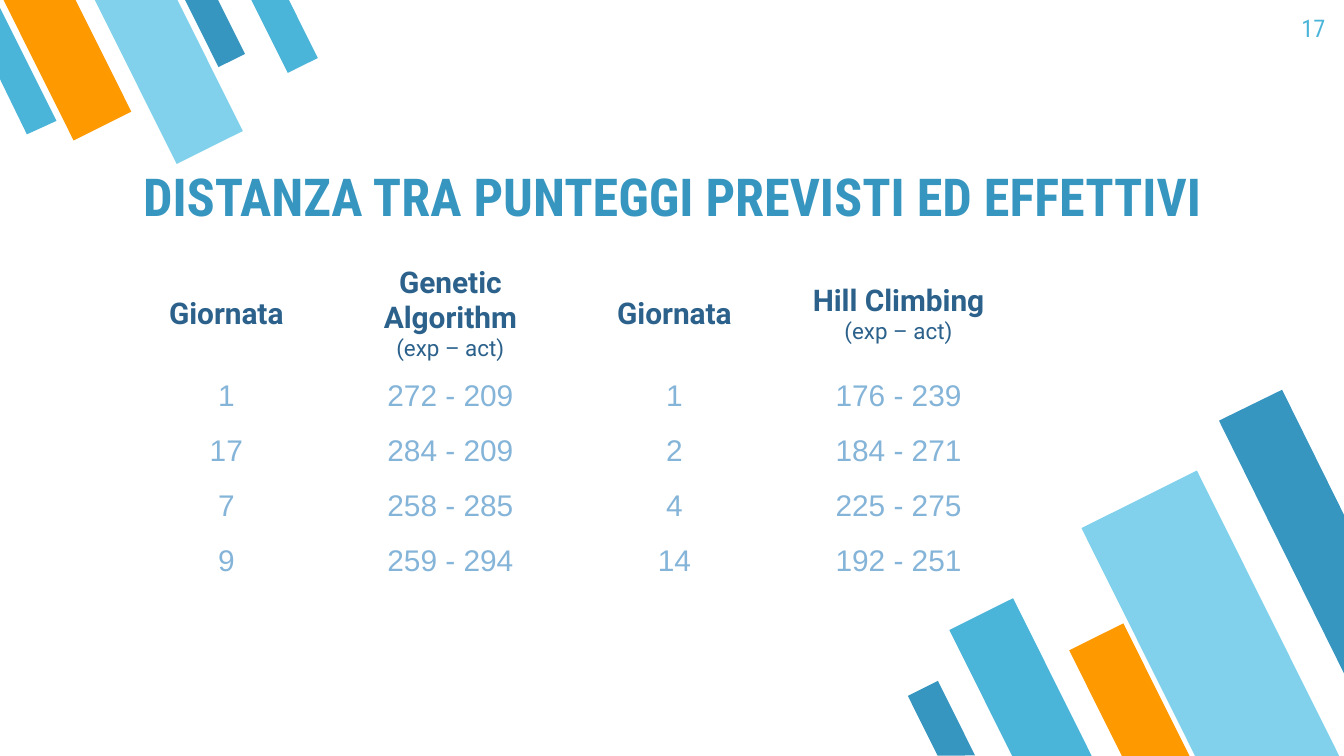
import pptx
import pptx.dml.color
import pptx.enum.shapes
import pptx.enum.text
import pptx.util

RGBColor = pptx.dml.color.RGBColor
Align = pptx.enum.text.PP_ALIGN
Anchor = pptx.enum.text.MSO_ANCHOR

PX = 9144  # EMU in one px, 100 px to the inch
SLIDE_WIDTH = 1000 * PX
SLIDE_HEIGHT = SLIDE_WIDTH * 9 // 16

BLUE = RGBColor(0x37, 0x96, 0xBF)
CYAN = RGBColor(0x4B, 0xB5, 0xD9)
SKY = RGBColor(0x81, 0xD1, 0xEC)
ORANGE = RGBColor(0xFF, 0x99, 0x00)
NAVY = RGBColor(0x2B, 0x61, 0x8B)
PALE = RGBColor(0x85, 0xB4, 0xD9)


def write(para, text, *, font, size, color, bold=False, align=Align.CENTER):
    para.alignment = align
    span = para.add_run()
    span.text = text
    span.font.name = font
    span.font.size = pptx.util.Pt(size)
    span.font.bold = bold
    span.font.color.rgb = color


class SlideBuilder:
    heading = dict(font="Roboto Condensed", size=28, color=BLUE, bold=True)
    number = dict(font="Roboto Condensed", size=13, color=CYAN, align=Align.RIGHT)
    header = dict(font="Roboto", size=16, color=NAVY, bold=True)
    subheader = dict(font="Roboto", size=12, color=NAVY)
    body = dict(font="Arial", size=16, color=PALE)

    def __init__(self, page):
        self.page = page

    def paint(self, shape, color):
        shape.shadow.inherit = False
        shape.fill.solid()
        shape.fill.fore_color.rgb = color
        shape.line.fill.background()

    def bar(self, left, top, width, height, color, rotation):
        kind = pptx.enum.shapes.MSO_SHAPE.FLOWCHART_MANUAL_INPUT
        shape = self.page.shapes.add_shape(
            kind, left * PX, top * PX, width * PX, height * PX)
        shape.element.spPr.get_or_add_xfrm().set("flipH", "1")
        shape.rotation = rotation
        self.paint(shape, color)

    def outline(self, points, color):
        builder = self.page.shapes.build_freeform(*points[0], scale=PX)
        builder.add_line_segments(points[1:], close=True)
        self.paint(builder.convert_to_shape(), color)

    def frame(self, box, left, top, width, height, text, anchor, style):
        box.left, box.top = left * PX, top * PX
        box.width, box.height = width * PX, height * PX
        frame = box.text_frame
        frame.word_wrap = True
        frame.auto_size = pptx.enum.text.MSO_AUTO_SIZE.NONE
        frame.vertical_anchor = anchor
        frame.margin_left = frame.margin_right = 10 * PX
        frame.margin_top = frame.margin_bottom = 10 * PX
        write(frame.paragraphs[0], text, **style)

    def title(self, left, top, width, height, text):
        self.frame(self.page.shapes.title, left, top, width, height,
                   text, Anchor.BOTTOM, self.heading)

    def page_number(self, left, top, width, height, text):
        box = self.page.shapes.add_textbox(0, 0, 0, 0)
        self.frame(box, left, top, width, height, text, Anchor.TOP, self.number)

    def table(self, left, top, width, height, row_height, rows):
        table = self.page.shapes.add_table(
            len(rows), len(rows[0]), left * PX, top * PX,
            width * PX, height * PX).table
        table.first_row = False
        table.horz_banding = False
        for row_index, texts in enumerate(rows):
            table.rows[row_index].height = row_height * PX
            main_style = self.body if row_index else self.header
            for column_index, text in enumerate(texts):
                cell = table.cell(row_index, column_index)
                cell.fill.background()
                cell.vertical_anchor = Anchor.MIDDLE
                main, *details = text.split("\n")
                frame = cell.text_frame
                write(frame.paragraphs[0], main, **main_style)
                for detail in details:
                    write(frame.add_paragraph(), detail, **self.subheader)


def main():
    deck = pptx.Presentation()
    deck.slide_width, deck.slide_height = SLIDE_WIDTH, SLIDE_HEIGHT
    builder = SlideBuilder(deck.slides.add_slide(deck.slide_layouts[5]))

    # Bars in the lower right corner
    for bar in [
        (733, 450, 53, 132, CYAN),
        (853, 359, 96, 239, SKY),
        (818, 468, 45, 111, ORANGE),
        (688, 509, 25, 62, BLUE),
    ]:
        builder.bar(*bar, rotation=153.5)
    builder.outline([(954, 290), (907, 313), (1000, 501), (1000, 383)], BLUE)

    # Bars in the upper left corner
    for bar in [
        (149, -8, 22, 56, BLUE),
        (26, -18, 48, 118, ORANGE),
        (98, -20, 55, 137, SKY),
        (199, -10, 25, 62, CYAN),
    ]:
        builder.bar(*bar, rotation=333.5)
    builder.outline([(20, 100), (42, 90), (0, 6), (0, 59)], CYAN)

    # Title and page number
    builder.title(0, 105, 1000, 74, "DISTANZA TRA PUNTEGGI PREVISTI ED EFFETTIVI")
    builder.page_number(936, 0, 60, 43, "17")

    # Expected and actual scores
    builder.table(85, 193, 667, 246, 41, [
        ("Giornata", "Genetic Algorithm\n(exp – act)",
         "Giornata", "Hill Climbing\n(exp – act)"),
        ("1", "272 - 209", "1", "176 - 239"),
        ("17", "284 - 209", "2", "184 - 271"),
        ("7", "258 - 285", "4", "225 - 275"),
        ("9", "259 - 294", "14", "192 - 251"),
    ])

    deck.save("out.pptx")


if __name__ == "__main__":
    main()
